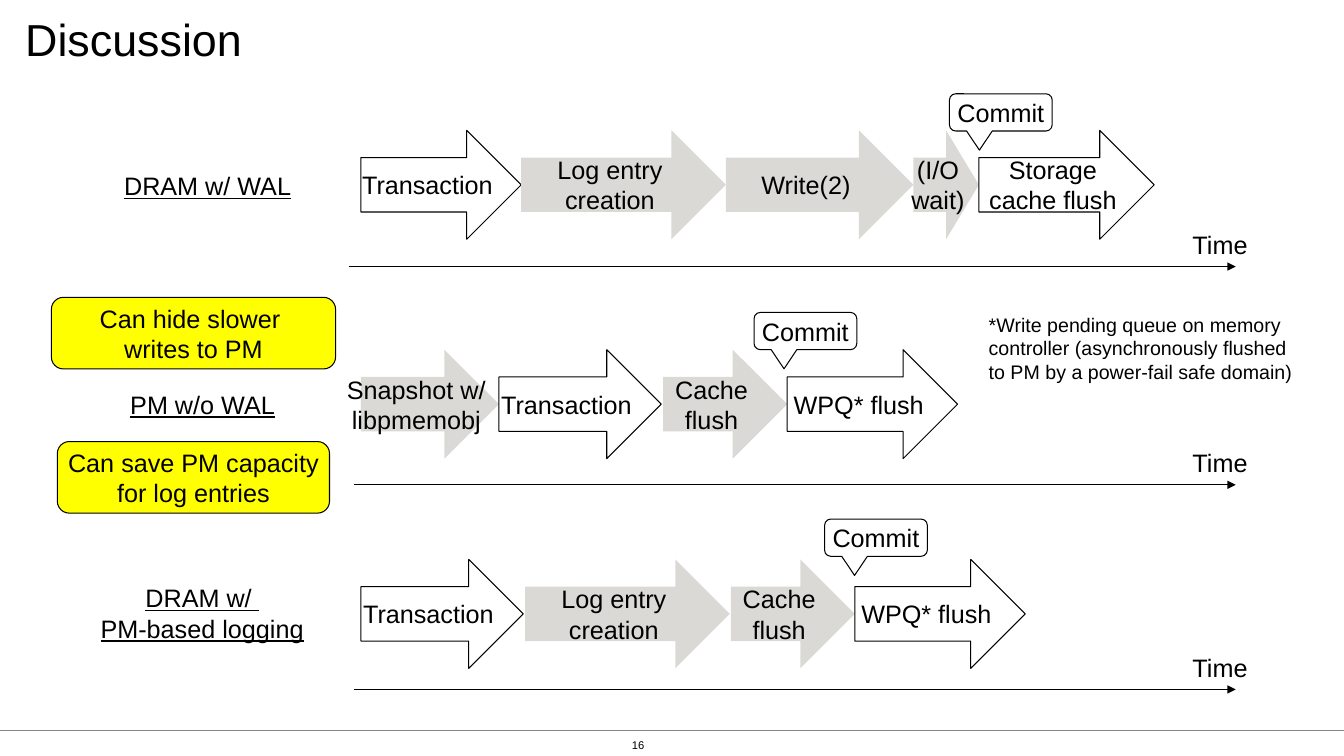
from dataclasses import dataclass

from lxml import etree
from pptx import Presentation
from pptx.dml.color import RGBColor
from pptx.enum import shapes, text
from pptx.oxml.ns import qn
from pptx.util import Pt

TITLE = "Discussion"
PAGE = "16"
NOTE = ("*Write pending queue on memory controller (asynchronously flushed "
        "to PM by a power-fail safe domain)")
NOTE_BOX = (699.1, 219.6, 234, 58.3)

# Steps: text, width, grey or white, gap before the step
TIMELINES = [
    {
        "label": "DRAM w/ WAL", "label_box": (75.6, 118.1, 145.4, 28.8),
        "top": 93.1, "axis": (249.1, 190.4), "commit": (678.2, 67),
        "steps": [
            ("Transaction", 114.5, "white", 0),
            ("Log entry\ncreation", 146.2, "grey", 0),
            ("Write(2)", 133.9, "grey", 0),
            ("(I/O\nwait)", 46.8, "grey", 0),
            ("Storage\ncache flush", 125.3, "white", 0),
        ],
    },
    {
        "label": "PM w/o WAL", "label_box": (72, 274.3, 145.4, 28.8),
        "top": 249.8, "axis": (252.7, 346.3), "commit": (538.6, 223.2),
        "steps": [
            ("Snapshot w/\nlibpmemobj", 98.6, "grey", 0),
            ("Transaction", 115.9, "white", 0),
            ("Cache\nflush", 88.6, "grey", 1.4),
            ("WPQ* flush", 121.7, "white", 0),
        ],
    },
    {
        "label": "DRAM w/ \vPM-based logging", "label_box": (61.9, 412.6, 164.9, 51.1),
        "top": 399.6, "axis": (252.7, 492.5), "commit": (589, 370.8),
        "steps": [
            ("Transaction", 115.9, "white", 0),
            ("Log entry\ncreation", 146.2, "grey", 1.4),
            ("Cache\nflush", 88.6, "grey", 0.7),
            ("WPQ* flush", 121.7, "white", 0),
        ],
    },
]
BENEFITS = [
    ("Can hide slower \nwrites to PM", (36.7, 212.4, 203, 51.1)),
    ("Can save PM capacity\nfor log entries", (41, 315.4, 194.4, 51.1)),
]

SLIDE_W, SLIDE_H = 960, 540
STEPS_LEFT, STEP_H = 257.8, 77.8
AXIS_END = 882.7
TIME_LEFT, TIME_RISE, TIME_SIZE = 840.2, 30.4, (62.6, 28.8)
COMMIT_SIZE = (73.4, 26.6)
COMMIT_TAIL = (-0.208, 1.014, 0.167)
FOOTER_Y = 522


@dataclass(frozen=True)
class Theme:
    font: str = "Arial"
    ink: str = "000000"
    white: str = "FFFFFF"
    grey: str = "DAD9D6"
    highlight: str = "FFFF00"
    rule: str = "87867E"
    title: float = 32
    body: float = 18
    note: float = 14
    page: float = 8
    outline: float = 0.75


THEME = Theme()


def color(value):
    return RGBColor.from_string(value)


def points(values):
    return [Pt(value) for value in values]


def write(frame, words, size=THEME.body, align=text.PP_ALIGN.CENTER, underline=None,
          anchor=text.MSO_ANCHOR.MIDDLE, wrap=False, inset=None):
    frame.text = words
    frame.word_wrap = wrap
    frame.vertical_anchor = anchor
    if inset is not None:
        frame.margin_left = frame.margin_right = Pt(inset)
        frame.margin_top = frame.margin_bottom = Pt(inset)
    for paragraph in frame.paragraphs:
        paragraph.alignment = align
        for run in paragraph.runs:
            run.font.name = THEME.font
            run.font.size = Pt(size)
            run.font.color.rgb = color(THEME.ink)
            run.font.underline = underline


def add_label(slide, words, box, **style):
    label = slide.shapes.add_textbox(*points(box))
    write(label.text_frame, words, **{"wrap": True, "anchor": text.MSO_ANCHOR.TOP, **style})


def add_block(slide, preset, words, box, fill=None, outlined=True):
    block = slide.shapes.add_shape(preset, *points(box))
    block.shadow.inherit = False
    if fill:
        block.fill.solid()
        block.fill.fore_color.rgb = color(fill)
    else:
        block.fill.background()
    if outlined:
        block.line.color.rgb = color(THEME.ink)
        block.line.width = Pt(THEME.outline)
    else:
        block.line.fill.background()
    write(block.text_frame, words)
    return block


def add_line(slide, start, end, y, ink, width, arrow=False):
    line = slide.shapes.add_connector(
        shapes.MSO_CONNECTOR.STRAIGHT, *points((start, y, end, y)))
    line.line.color.rgb = color(ink)
    line.line.width = Pt(width)
    if arrow:
        etree.SubElement(line.line._get_or_add_ln(), qn("a:tailEnd"), type="triangle")
    etree.SubElement(line._element.spPr, qn("a:effectLst"))


def add_timeline(slide, row):
    left = STEPS_LEFT
    for words, width, tone, gap in row["steps"]:
        left += gap
        add_block(slide, shapes.MSO_SHAPE.RIGHT_ARROW, words,
                  (left, row["top"], width, STEP_H),
                  fill=getattr(THEME, tone), outlined=tone == "white")
        left += width

    add_label(slide, row["label"], row["label_box"], underline=True)
    axis_start, axis_y = row["axis"]
    add_line(slide, axis_start, AXIS_END, axis_y, THEME.ink, THEME.outline, arrow=True)
    add_label(slide, "Time", (TIME_LEFT, axis_y - TIME_RISE, *TIME_SIZE))

    commit = add_block(slide, shapes.MSO_SHAPE.ROUNDED_RECTANGULAR_CALLOUT, "Commit",
                       (*row["commit"], *COMMIT_SIZE))
    for index, value in enumerate(COMMIT_TAIL):
        commit.adjustments[index] = value


def main():
    deck = Presentation()
    deck.slide_width, deck.slide_height = Pt(SLIDE_W), Pt(SLIDE_H)
    slide = deck.slides.add_slide(deck.slide_layouts[5])

    title = slide.shapes.title
    title.left, title.top, title.width, title.height = points((18, 0, 825, 54.7))
    write(title.text_frame, TITLE, size=THEME.title, align=text.PP_ALIGN.LEFT,
          wrap=True, inset=0)

    add_line(slide, 0, SLIDE_W, FOOTER_Y, THEME.rule, 1)
    for row in TIMELINES:
        add_timeline(slide, row)
    for words, box in BENEFITS:
        add_block(slide, shapes.MSO_SHAPE.ROUNDED_RECTANGLE, words, box, fill=THEME.highlight)
    add_label(slide, NOTE, NOTE_BOX, size=THEME.note, align=text.PP_ALIGN.LEFT)
    add_label(slide, PAGE, (451.4, 524.2, 56.9, 15.8), size=THEME.page,
              align=text.PP_ALIGN.LEFT, anchor=text.MSO_ANCHOR.MIDDLE, inset=0)

    deck.save("out.pptx")


if __name__ == "__main__":
    main()
